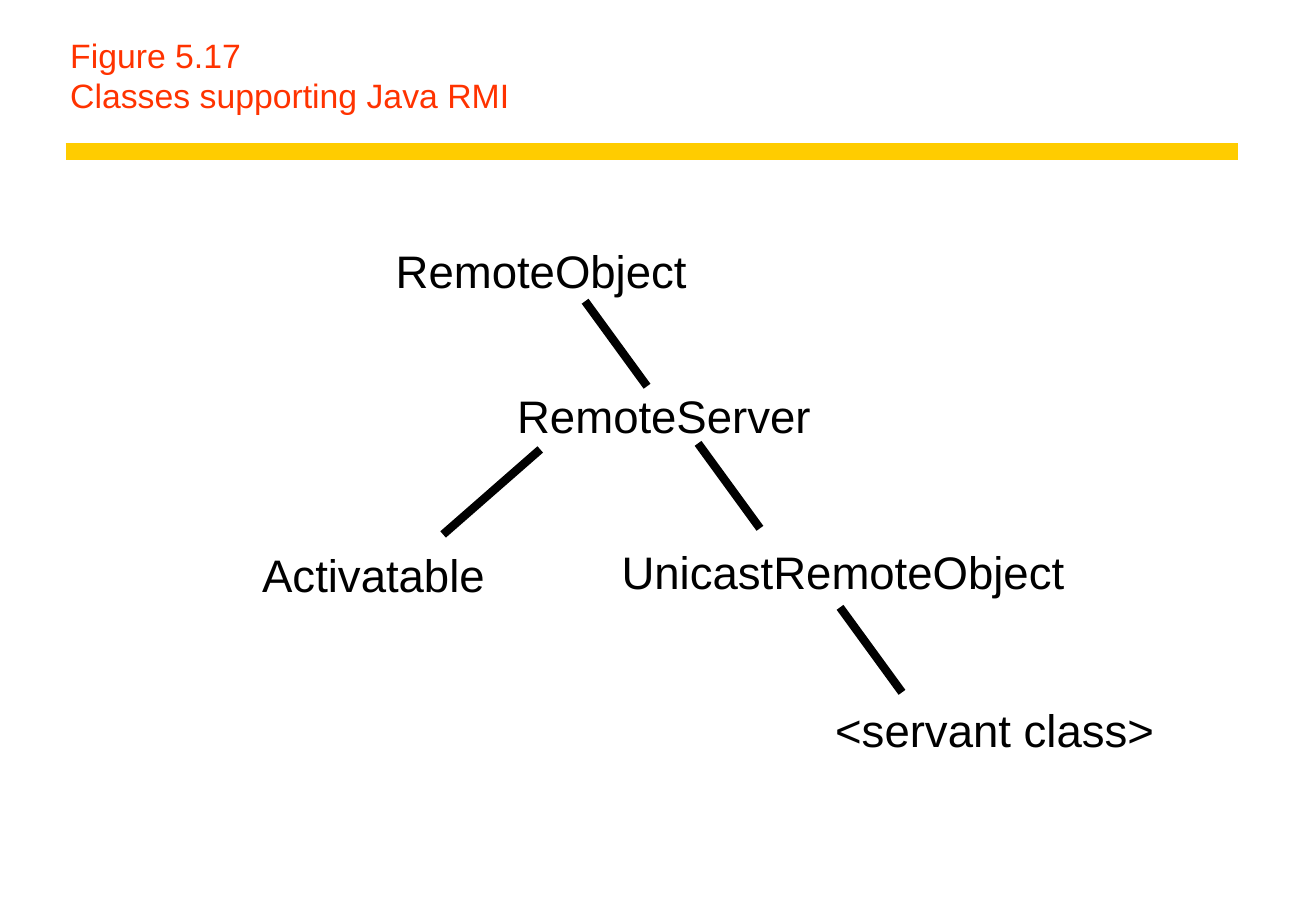
from dataclasses import dataclass

from lxml.etree import SubElement
from pptx import Presentation
from pptx.dml.color import RGBColor
from pptx.enum.shapes import MSO_CONNECTOR
from pptx.enum.text import MSO_ANCHOR
from pptx.oxml.ns import qn
from pptx.slide import Slide
from pptx.text.text import TextFrame
from pptx.util import Inches, Pt


@dataclass(frozen=True)
class Theme:
    font: str = "Arial"
    heading: RGBColor = RGBColor(0xFF, 0x33, 0x00)
    rule: RGBColor = RGBColor(0xFF, 0xCC, 0x00)
    ink: RGBColor = RGBColor(0x00, 0x00, 0x00)
    heading_size: float = 20
    class_size: float = 27
    rule_width: float = 10
    link_width: float = 5


@dataclass(frozen=True)
class ClassLabel:
    name: str
    left: float
    top: float
    width: float


@dataclass(frozen=True)
class Link:
    """Line from a parent class, offset by dx and dy towards its subclass."""
    x: float
    y: float
    dx: float = 0.51
    dy: float = 0.7


THEME = Theme()
LABEL_HEIGHT = 0.45

CLASSES = [
    ClassLabel("RemoteObject", 3.26, 2, 2.5),
    ClassLabel("RemoteServer", 4.26, 3.19, 2.42),
    ClassLabel("Activatable", 2.16, 4.5, 1.84),
    ClassLabel("UnicastRemoteObject", 5.12, 4.48, 3.65),
    ClassLabel("<servant class>", 6.88, 5.78, 2.63),
]

LINKS = [
    Link(4.82, 2.48),
    Link(4.45, 3.7, dx=-0.8),
    Link(5.75, 3.65),
    Link(6.92, 5),
]


def add_text_frame(slide: Slide, left: float, top: float, width: float,
                   height: float, margin_x: float = 0, margin_y: float = 0) -> TextFrame:
    frame = slide.shapes.add_textbox(
        Inches(left), Inches(top), Inches(width), Inches(height)).text_frame
    frame.margin_left = frame.margin_right = Inches(margin_x)
    frame.margin_top = frame.margin_bottom = Inches(margin_y)
    return frame


def style_text(frame: TextFrame, size: float, color: RGBColor) -> None:
    for paragraph in frame.paragraphs:
        paragraph.font.name = THEME.font
        paragraph.font.size = Pt(size)
        paragraph.font.color.rgb = color


def add_heading(slide: Slide, number: str, caption: str) -> None:
    heading = add_text_frame(slide, 0.48, 0.25, 9.72, 0.75, 0.1, 0.05)
    heading.word_wrap = True
    heading.vertical_anchor = MSO_ANCHOR.BOTTOM
    heading.text = f"{number}\n{caption}"
    style_text(heading, THEME.heading_size, THEME.heading)


def add_class(slide: Slide, label: ClassLabel) -> None:
    frame = add_text_frame(slide, label.left, label.top, label.width, LABEL_HEIGHT)
    frame.word_wrap = False
    frame.text = label.name
    style_text(frame, THEME.class_size, THEME.ink)


def add_line(slide: Slide, x1: float, y1: float, x2: float, y2: float,
             color: RGBColor, width: float) -> None:
    line = slide.shapes.add_connector(
        MSO_CONNECTOR.STRAIGHT, Inches(x1), Inches(y1), Inches(x2), Inches(y2))
    line.line.color.rgb = color
    line.line.width = Pt(width)
    SubElement(line._element.spPr, qn("a:effectLst"))


def main() -> None:
    deck = Presentation()
    deck.slide_width, deck.slide_height = Inches(10.84), Inches(7.5)
    slide = deck.slides.add_slide(deck.slide_layouts[6])

    add_line(slide, 0.54, 1.25, 10.2, 1.25, THEME.rule, THEME.rule_width)
    add_heading(slide, "Figure 5.17", "Classes supporting Java RMI")
    for label in CLASSES:
        add_class(slide, label)
    for link in LINKS:
        add_line(slide, link.x, link.y, link.x + link.dx, link.y + link.dy,
                 THEME.ink, THEME.link_width)

    deck.save("out.pptx")


if __name__ == "__main__":
    main()
